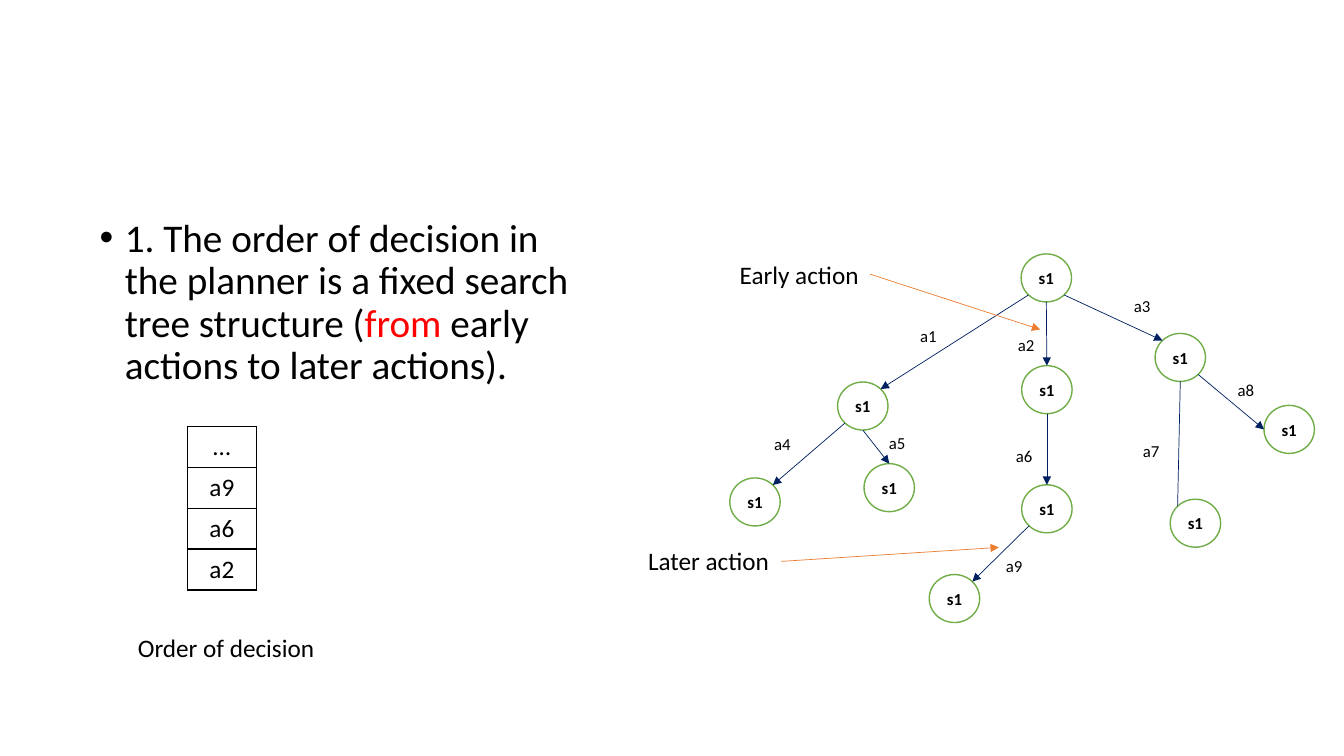
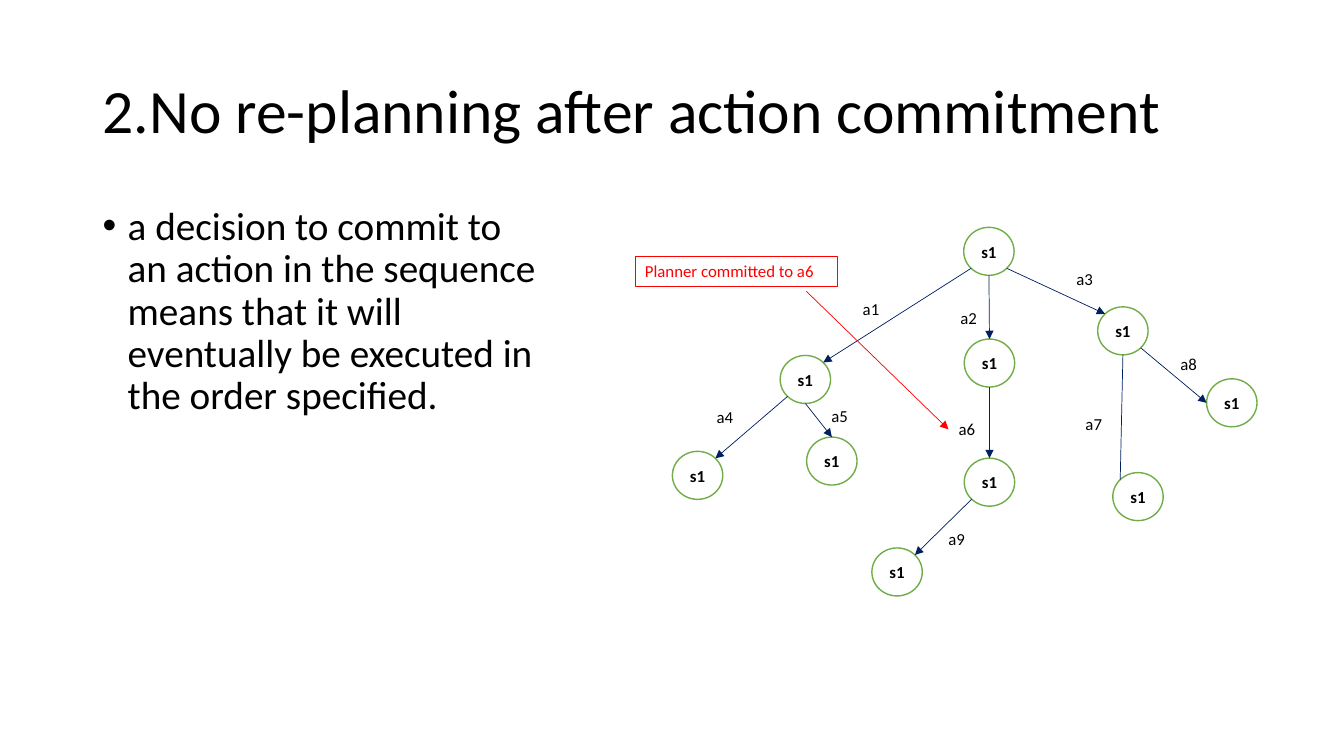
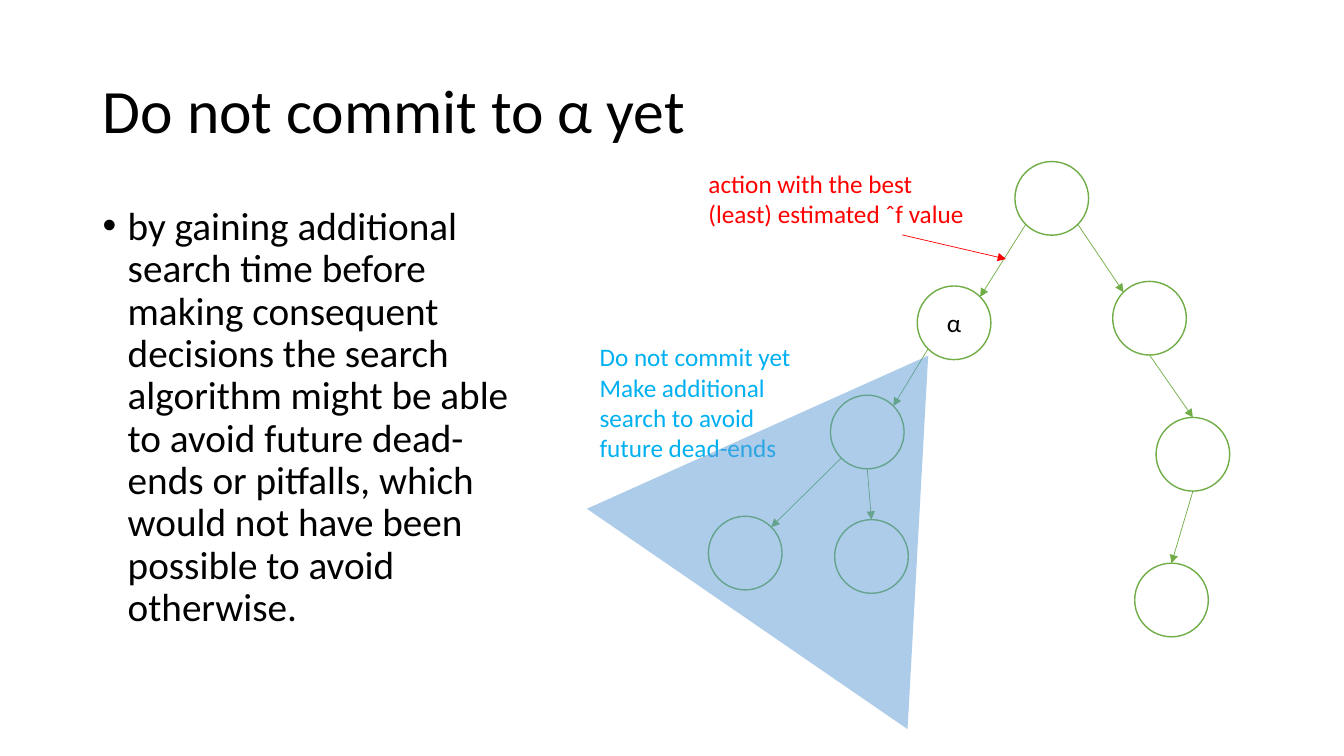
from math import cos, pi, sin

from lxml.etree import SubElement
from pptx import Presentation
from pptx.dml.color import RGBColor
from pptx.enum.shapes import MSO_CONNECTOR, MSO_SHAPE
from pptx.enum.text import MSO_ANCHOR as Anchor, PP_ALIGN as Align
from pptx.oxml.ns import qn
from pptx.util import Pt

FONT = "Calibri"
BLACK, WHITE, RED = "000000", "FFFFFF", "FF0000"
GREEN, NAVY, ORANGE = "70AD47", "002060", "ED7D31"
SKY, BLUE = "00B0F0", "5B9BD5"
rgb = RGBColor.from_string


def write(frame, text, size, colour=BLACK, bold=False, align=Align.LEFT, wrap=True):
    """Fill a text frame and format all its runs alike."""
    frame.text = text
    frame.word_wrap = wrap
    for paragraph in frame.paragraphs:
        paragraph.alignment = align
        for run in paragraph.runs:
            run.font.name, run.font.size, run.font.bold = FONT, Pt(size), bold
            run.font.color.rgb = rgb(colour)


def draw_arrow(slide, start, end, colour, head=True):
    """Draw a thin straight line, with an arrowhead at its end if wanted."""
    arrow = slide.shapes.add_connector(
        MSO_CONNECTOR.STRAIGHT, *(Pt(value) for value in (*start, *end)))
    arrow.line.color.rgb = rgb(colour)
    arrow.line.width = Pt(0.5)
    properties = arrow.element.spPr
    if head:
        SubElement(properties.find(qn("a:ln")), qn("a:tailEnd"), type="triangle")
    SubElement(properties, qn("a:effectLst"))


deck = Presentation()
deck.slide_width, deck.slide_height = Pt(960), Pt(540)
title_only, blank = deck.slide_layouts[5], deck.slide_layouts[6]

# Titles and bulleted text: title, left, top, width, coloured segments
pages = [
    (None, 64.1, 152.6, 368, [
        ("1. The order of decision in the planner is a fixed search tree structure (", BLACK),
        ("from", RED),
        (" early actions to later actions).", BLACK)]),
    ("2.No re-planning after action commitment", 66.2, 144, 328.3, [
        ("a decision to commit to an action in the sequence means that it will "
         "eventually be executed in the order specified.", BLACK)]),
    ("Do not commit to α yet", 66.2, 144, 324, [
        ("by gaining additional search time before making consequent decisions the "
         "search algorithm might be able to avoid future dead-ends or pitfalls, which "
         "would not have been possible to avoid otherwise.", BLACK)]),
]
for heading, left, top, width, segments in pages:
    slide = deck.slides.add_slide(title_only if heading else blank)
    if heading:
        title = slide.shapes.title
        title.left, title.top, title.width, title.height = Pt(66.2), Pt(28.8), Pt(828), Pt(104.4)
        write(title.text_frame, heading, 44)
        title.text_frame.vertical_anchor = Anchor.MIDDLE
        title.text_frame.paragraphs[0].line_spacing = 0.9
    body = slide.shapes.add_textbox(Pt(left), Pt(top), Pt(width), Pt(342.7)).text_frame
    body.word_wrap = True
    point = body.paragraphs[0]
    point.line_spacing = 0.9
    point.space_before = Pt(10)
    for words, colour in segments:
        run = point.add_run()
        run.text = words
        run.font.name, run.font.size = FONT, Pt(28)
        run.font.color.rgb = rgb(colour)
    indent = point._p.get_or_add_pPr()
    indent.set("marL", str(Pt(18)))
    indent.set("indent", str(Pt(-18)))
    SubElement(indent, qn("a:buFont"), typeface="Arial")
    SubElement(indent, qn("a:buChar"), char="•")
order_slide, commit_slide, wait_slide = deck.slides

# Eight joints of an ellipse, anticlockwise from the top, as parts of its size
joints = [(0.5 - sin(k * pi / 4) / 2, 0.5 - cos(k * pi / 4) / 2) for k in range(8)]
TOP, TOP_LEFT, LEFT, LOW_LEFT, LOW, LOW_RIGHT, RIGHT, TOP_RIGHT = range(8)

# Search tree: each state is named after the action that leads to it
states = {
    "root": (729.4, 181.4), "a1": (598.3, 272.9), "a2": (729.8, 261.2),
    "a3": (825.1, 238.2), "a4": (521.3, 341.4), "a5": (617.2, 331.2),
    "a6": (729.8, 346.3), "a7": (835.9, 356.6), "a8": (902.9, 289.6),
    "a9": (663.8, 410.4),
}
actions = [
    ("root", LOW_LEFT, "a1", TOP_RIGHT), ("root", LOW, "a2", TOP),
    ("root", LOW_RIGHT, "a3", TOP_LEFT), ("a1", LOW_LEFT, "a4", TOP_RIGHT),
    ("a1", LOW, "a5", TOP), ("a2", LOW, "a6", TOP), ("a3", LOW, "a7", TOP_LEFT),
    ("a3", LOW_RIGHT, "a8", LEFT), ("a6", LOW_LEFT, "a9", TOP_RIGHT),
]
action_labels = {
    "a1": (650.2, 229), "a2": (720, 235.4), "a3": (802.8, 207.4),
    "a4": (545.8, 306), "a5": (627.8, 305.3), "a6": (718.6, 314.6),
    "a7": (809.3, 311), "a8": (877, 267.8), "a9": (711.4, 393.1),
}

# Smaller tree around the action α
options = {
    "root": (725, 115.4), "α": (655.2, 204.3), "other": (794.8, 201),
    "other next": (825.8, 298.2), "other last": (810.5, 402.3),
    "ahead": (593.2, 282.3), "ahead left": (506, 368.8), "ahead right": (596.2, 371.2),
}
choices = [
    ("root", LOW_LEFT, "α", TOP_RIGHT), ("root", LOW_RIGHT, "other", TOP_LEFT),
    ("other", LOW, "other next", TOP), ("other next", LOW, "other last", TOP),
    ("α", LOW_LEFT, "ahead", TOP_RIGHT), ("ahead", LOW_LEFT, "ahead left", TOP_RIGHT),
    ("ahead", LOW, "ahead right", TOP),
]

state_texts = dict.fromkeys(states, "s1")
trees = [
    (order_slide, 0, 0, 36, 34.3, states, state_texts, 12, True, actions, NAVY, action_labels),
    (commit_slide, -41, -19, 36, 34.3, states, state_texts, 12, True, actions, NAVY,
     action_labels),
    (wait_slide, 0, 0, 52.6, 52.6, options, {"α": "α"}, 18, False, choices, GREEN, {}),
]
for slide, dx, dy, width, height, nodes, texts, size, bold, edges, colour, labels in trees:
    for name, (x, y) in nodes.items():
        node = slide.shapes.add_shape(
            MSO_SHAPE.OVAL, Pt(x + dx), Pt(y + dy), Pt(width), Pt(height))
        node.shadow.inherit = False
        node.fill.solid()
        node.fill.fore_color.rgb = rgb(WHITE)
        node.line.color.rgb = rgb(GREEN)
        node.line.width = Pt(1)
        if name in texts:
            write(node.text_frame, texts[name], size, bold=bold, align=Align.CENTER, wrap=False)
            node.text_frame.vertical_anchor = Anchor.MIDDLE
    for parent, exit_joint, child, entry_joint in edges:
        start, end = [
            (nodes[name][0] + dx + joints[joint][0] * width,
             nodes[name][1] + dy + joints[joint][1] * height)
            for name, joint in ((parent, exit_joint), (child, entry_joint))]
        draw_arrow(slide, start, end, colour, head=child != "a7")
    for action, (x, y) in labels.items():
        label = slide.shapes.add_textbox(Pt(x + dx), Pt(y + dy), Pt(26.7), Pt(21.8))
        write(label.text_frame, action, 12)

# Remarks beside the trees
remarks = [
    (order_slide, 521.3, 181.4, 100.8, 29, "Early action", 18, BLACK, False),
    (order_slide, 455.8, 386, 102.2, 29, "Later action", 18, BLACK, False),
    (order_slide, 91.4, 447.8, 142.6, 29, "Order of decision", 18, BLACK, True),
    (commit_slide, 453.6, 182.9, 144.7, 21.8, "Planner committed to a6", 12, RED, True),
    (wait_slide, 499, 116.6, 208.8, 51, "action with the best (least) estimated ˆf value",
     18, RED, True),
    (wait_slide, 421.2, 240.5, 167.8, 94.3,
     "Do not commit yet\nMake additional search to avoid future dead-ends", 18, SKY, True),
]
for slide, left, top, width, height, words, size, colour, wrap in remarks:
    remark = slide.shapes.add_textbox(Pt(left), Pt(top), Pt(width), Pt(height))
    write(remark.text_frame, words, size, colour, wrap=wrap)
    if slide is commit_slide or slide.slide_id == commit_slide.slide_id:
        remark.line.color.rgb = rgb(RED)
        remark.line.width = Pt(0.75)

pointers = [
    (order_slide, (621.4, 195.8), (743, 235.4), ORANGE),
    (order_slide, (558, 401), (713.5, 391), ORANGE),
    (commit_slide, (576, 208.1), (677.5, 306.7), RED),
    (wait_slide, (644.4, 167.8), (718.6, 185), RED),
]
for pointer in pointers:
    draw_arrow(*pointer)

# Stack of decisions
decisions = ["…", "a9", "a6", "a2"]
stack = order_slide.shapes.add_table(
    len(decisions), 1, Pt(134), Pt(304.6), Pt(49), Pt(29.2 * len(decisions))).table
stack.first_row = stack.horz_banding = False
for row, decision in enumerate(decisions):
    stack.rows[row].height = Pt(29.2)
    cell = stack.cell(row, 0)
    write(cell.text_frame, decision, 18, align=Align.CENTER)
    borders = cell._tc.get_or_add_tcPr()
    for side in ("lnL", "lnR", "lnT", "lnB"):
        border = SubElement(borders, qn("a:" + side), w=str(Pt(1)))
        SubElement(SubElement(border, qn("a:solidFill")), qn("a:srgbClr"), val=BLACK)
    cell.fill.background()

# Region searched before committing
region = wait_slide.shapes.add_shape(
    MSO_SHAPE.ISOSCELES_TRIANGLE, Pt(459.4), Pt(234), Pt(277.9), Pt(228.2))
region.rotation = 34.5
region.shadow.inherit = False
region.line.fill.background()
region.fill.solid()
region.fill.fore_color.rgb = rgb(BLUE)
SubElement(region.element.spPr.find(".//" + qn("a:srgbClr")), qn("a:alpha"), val="50000")

deck.save("out.pptx")
